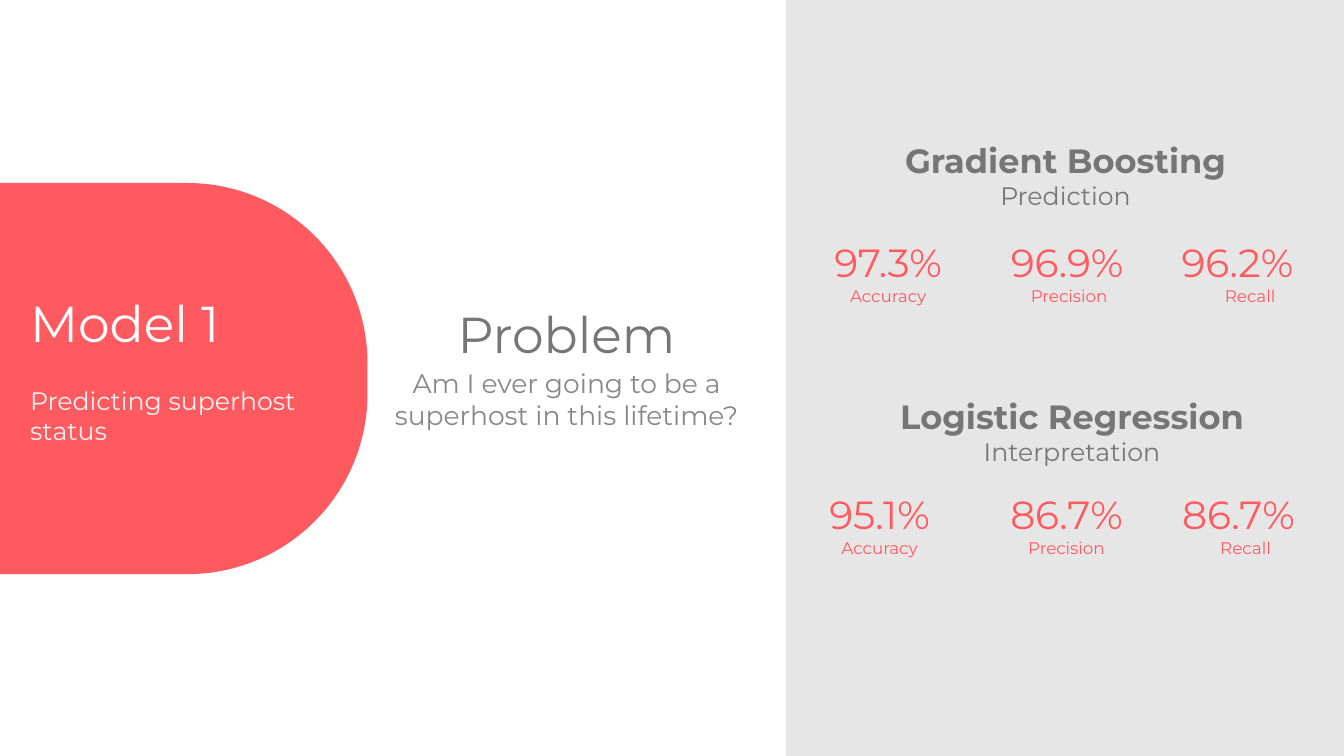
from pptx import Presentation
from pptx.dml.color import RGBColor
from pptx.enum.shapes import MSO_SHAPE
from pptx.enum.text import PP_ALIGN
from pptx.util import Pt

ROUND, RECT = MSO_SHAPE.ROUND_2_SAME_RECTANGLE, MSO_SHAPE.RECTANGLE
LEFT, MID = PP_ALIGN.LEFT, PP_ALIGN.CENTER
HUES = {"coral": "FF5A5F", "panel": "E7E6E6", "gray": "767676",
        "soft": "888888", "white": "FFFFFF", "pale": "F2F2F2"}
HEAD = {"size": Pt(24), "bold": True}
SUB = {"size": Pt(18), "bold": False}
BIG = {"size": Pt(36)}
RATE = {"size": Pt(28)}
NAME = {"size": Pt(12)}
ASK = {"size": Pt(19)}


def paint(hue):
    """Return the colour of that name."""
    return RGBColor.from_string(HUES[hue])


def block(slide, kind, box, hue):
    """Add a plain filled shape."""
    shape = slide.shapes.add_shape(kind, *map(Pt, box))
    shape.shadow.inherit = False
    shape.fill.solid()
    shape.fill.fore_color.rgb = paint(hue)
    shape.line.fill.background()
    return shape


def write(slide, box, lines, align=MID, gap=0):
    """Add a text box of lines, each a text, format, colour and shift."""
    frame = slide.shapes.add_textbox(*map(Pt, box)).text_frame
    frame.word_wrap = True
    for i, (text, form, hue, shift) in enumerate(lines):
        para = frame.add_paragraph() if i else frame.paragraphs[0]
        para.alignment = align
        if i and gap:
            para.space_before = Pt(gap)
        if shift:
            side = "marL" if shift > 0 else "marR"
            para._p.get_or_add_pPr().set(side, str(Pt(2 * abs(shift))))
        run = para.add_run()
        run.text = text
        run.font.name = "Montserrat"
        run.font.color.rgb = paint(hue)
        for key, value in form.items():
            setattr(run.font, key, value)


def title(slide, box, name, use):
    """Add a model name over its use."""
    write(slide, box, [(name, HEAD, "gray", 0), (use, SUB, "gray", 0)])


def scores(slide, top, cells):
    """Add a row of rates over their names."""
    for left, width, rate, move, name, shift in cells:
        write(slide, (left, top, width, 64),
              [(rate, RATE, "coral", move), (name, NAME, "coral", shift)])


def main():
    """Build the slide and save it."""
    deck = Presentation()
    deck.slide_width, deck.slide_height = Pt(960), Pt(540)
    slide = deck.slides.add_slide(deck.slide_layouts[6])

    tab = block(slide, ROUND, (-8.6, 139, 279.4, 262.8), "coral")
    tab.rotation = 90
    tab.adjustments[0], tab.adjustments[1] = 0.49, 0
    block(slide, RECT, (561.5, 0, 398.5, 540), "panel")

    title(slide, (635.8, 96.5, 250.6, 50.4), "Gradient Boosting", "Prediction")
    scores(slide, 167, [
        (585.4, 98, "97.3%", 0, "Accuracy", 0),
        (709.2, 129, "96.9%", -11.5, "Precision", 1.5),
        (834.5, 103, "96.2%", -2, "Recall", 9)])

    title(slide, (634.3, 279.4, 262.8, 62.6),
          "Logistic Regression", "Interpretation")
    scores(slide, 347, [
        (575.3, 106, "95.1%", 0, "Accuracy", 0),
        (701.3, 129, "86.7%", -4, "Precision", 0),
        (822.2, 128, "86.7%", -1.5, "Recall", 5)])

    write(slide, (14.4, 205.2, 233.3, 130.3),
          [("Model 1", BIG, "white", 0),
           ("Predicting superhost status", SUB, "pale", 0)], LEFT, 23)
    write(slide, (308.9, 213.1, 191.5, 50.4), [("Problem", BIG, "gray", 0)])
    write(slide, (250.6, 258.5, 308.2, 68.4),
          [("Am I ever going to be a superhost in this lifetime?",
            ASK, "soft", 0)])
    deck.save("out.pptx")


if __name__ == "__main__":
    main()
